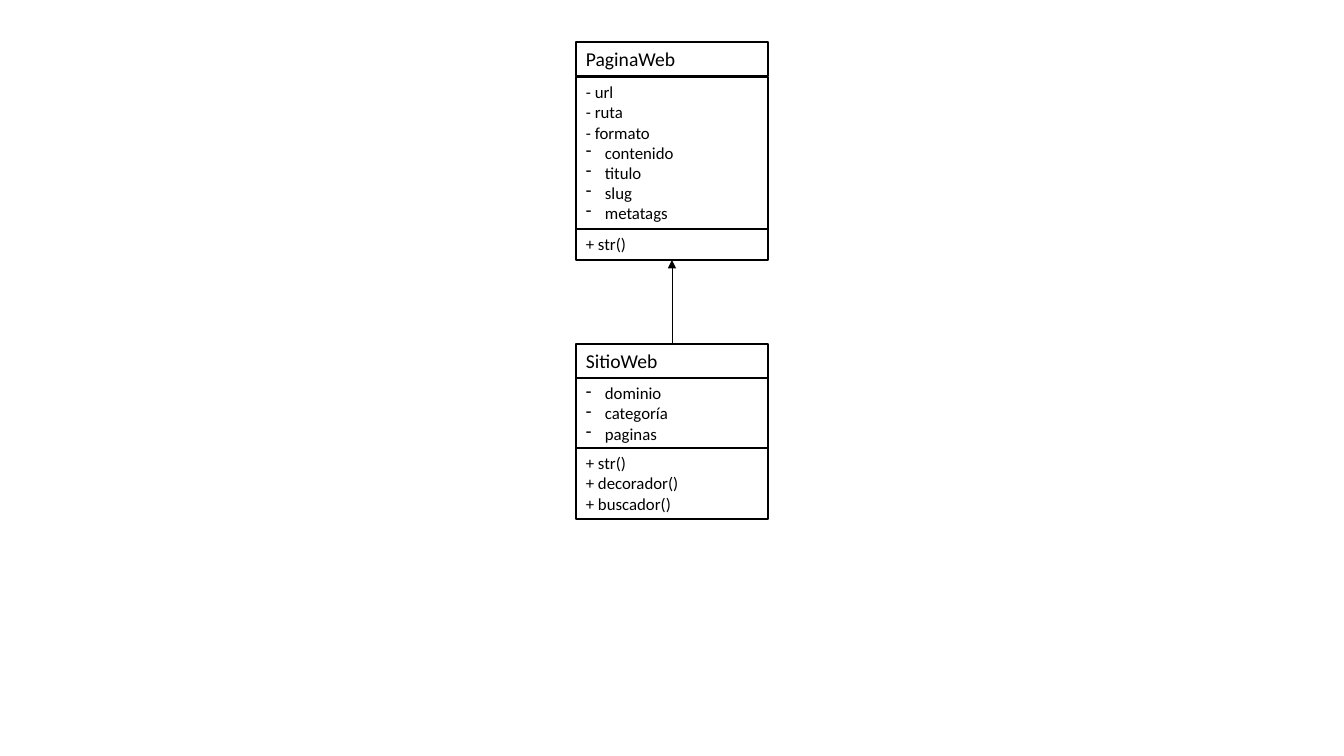
from lxml.etree import SubElement
from pptx import Presentation
from pptx.dml.color import RGBColor
from pptx.enum.shapes import MSO_CONNECTOR as Connector
from pptx.enum.text import MSO_AUTO_SIZE as AutoSize, MSO_ANCHOR as Anchor
from pptx.oxml.ns import qn
from pptx.util import Emu, Pt

BLACK = RGBColor(0x00, 0x00, 0x00)
WHITE = RGBColor(0xFF, 0xFF, 0xFF)
SCALE = 914400 / 100.8
SLIDE_WIDTH, SLIDE_HEIGHT = 1344, 756
CLASS_LEFT, CLASS_WIDTH = 576, 192
BULLET_INDENT = 19
TOP, BOTTOM = 0, 2


def px(length):
    return Emu(round(length * SCALE))


class ClassDiagram:
    font_name = "Calibri"
    name_size = Pt(14)
    member_size = Pt(12)
    border_width = Pt(1)
    arrow_width = Pt(0.5)

    def __init__(self, slide):
        self.slide = slide

    def bullet(self, paragraph):
        properties = paragraph._p.get_or_add_pPr()
        properties.set("marL", str(px(BULLET_INDENT)))
        properties.set("indent", str(-px(BULLET_INDENT)))
        SubElement(properties, qn("a:buFontTx"))
        SubElement(properties, qn("a:buChar")).set("char", "-")

    def compartment(self, top, height, size, plain=(), bulleted=()):
        box = self.slide.shapes.add_textbox(px(CLASS_LEFT), px(top), px(CLASS_WIDTH), px(height))
        box.fill.solid()
        box.fill.fore_color.rgb = WHITE
        box.line.color.rgb = BLACK
        box.line.width = self.border_width
        frame = box.text_frame
        frame.word_wrap = True
        frame.auto_size = AutoSize.SHAPE_TO_FIT_TEXT
        frame.vertical_anchor = Anchor.TOP
        frame.text = "\n".join([*plain, *bulleted])
        for index, paragraph in enumerate(frame.paragraphs):
            if index >= len(plain):
                self.bullet(paragraph)
            for run in paragraph.runs:
                run.font.name = self.font_name
                run.font.size = size
                run.font.color.rgb = BLACK
        return box

    def inheritance(self, child, parent):
        arrow = self.slide.shapes.add_connector(Connector.STRAIGHT, 0, 0, 0, 0)
        arrow.begin_connect(child, TOP)
        arrow.end_connect(parent, BOTTOM)
        arrow.line.color.rgb = BLACK
        arrow.line.width = self.arrow_width
        SubElement(arrow.line._get_or_add_ln(), qn("a:tailEnd")).set("type", "triangle")
        SubElement(arrow._element.spPr, qn("a:effectLst"))


presentation = Presentation()
presentation.slide_width = px(SLIDE_WIDTH)
presentation.slide_height = px(SLIDE_HEIGHT)
diagram = ClassDiagram(presentation.slides.add_slide(presentation.slide_layouts[6]))

diagram.compartment(42, 34, diagram.name_size, ["PaginaWeb"])
diagram.compartment(77, 152, diagram.member_size, ["- url", "- ruta", "- formato"],
                    ["contenido", "titulo", "slug", "metatags"])
page_methods = diagram.compartment(229, 31, diagram.member_size, ["+ str()"])

site_name = diagram.compartment(344, 34, diagram.name_size, ["SitioWeb"])
diagram.compartment(378, 71, diagram.member_size, bulleted=["dominio", "categoría", "paginas"])
diagram.compartment(448, 71, diagram.member_size, ["+ str()", "+ decorador()", "+ buscador()"])

diagram.inheritance(site_name, page_methods)
presentation.save("out.pptx")
